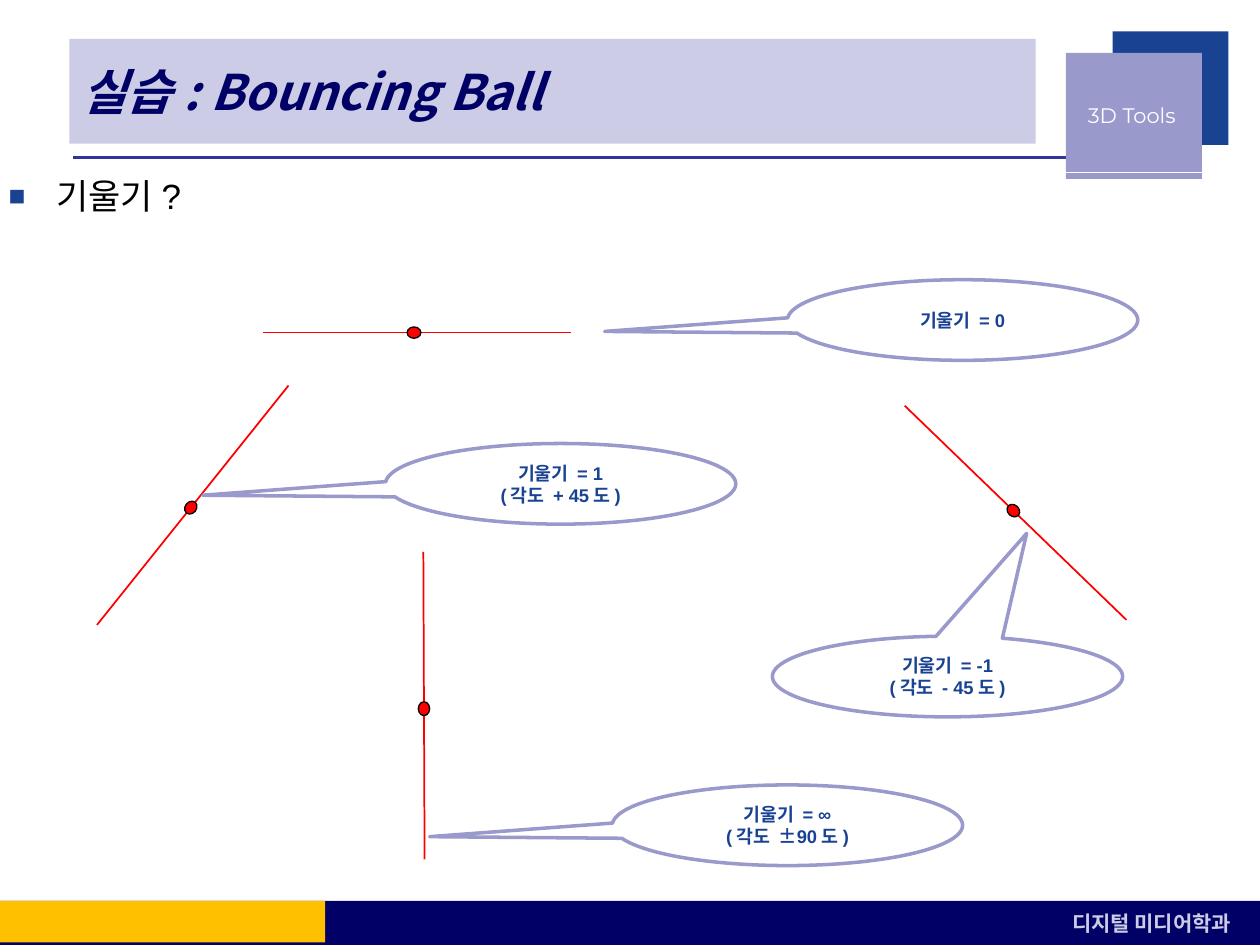
from math import atan2, degrees
from lxml.etree import SubElement
from pptx import Presentation
from pptx.dml.color import RGBColor
from pptx.enum.shapes import MSO_CONNECTOR as Connector, MSO_SHAPE as Shape
from pptx.enum.text import MSO_ANCHOR as Anchor, PP_ALIGN as Align
from pptx.oxml.ns import qn
from pptx.util import Inches, Pt

COLORS = {
    "navy": "000066", "blue": "194293", "indigo": "333399",
    "lilac": "9999CC", "pale": "CCCCE6", "gold": "FFC000",
    "red": "FF0000", "black": "000000", "white": "FFFFFF",
}
LATIN, KOREAN = "Arial", "Noto Sans CJK KR"
LABEL = {"size": Pt(10.5), "bold": True, "name": LATIN}


def color(name):
    return RGBColor.from_string(COLORS[name])


class SlideBuilder:
    """Holds the shared style and the current slide."""

    def __init__(self, slide):
        self.slide = slide

    def box(self, kind, place, fill=None, line=None, width=0.75, parent=None):
        shapes = (parent or self.slide).shapes
        box = shapes.add_shape(kind, *[Inches(value) for value in place])
        box.shadow.inherit = False
        if fill:
            box.fill.solid()
            box.fill.fore_color.rgb = color(fill)
        else:
            box.fill.background()
        if line:
            box.line.color.rgb = color(line)
            box.line.width = Pt(width)
        else:
            box.line.fill.background()
        return box

    def line(self, start, end, tint, width, parent=None):
        shapes = (parent or self.slide).shapes
        points = [Inches(value) for value in (*start, *end)]
        line = shapes.add_connector(Connector.STRAIGHT, *points)
        line.line.color.rgb = color(tint)
        line.line.width = Pt(width)
        SubElement(line._element.spPr, qn("a:effectLst"))
        return line

    def text(self, box, lines, tint, style, align=Align.LEFT,
             anchor=Anchor.MIDDLE, wrap=True):
        """Write lines; a line is a string or a list of (text, font) spans."""
        frame = box.text_frame
        frame.word_wrap = wrap
        frame.vertical_anchor = anchor
        for index, content in enumerate(lines):
            para = frame.add_paragraph() if index else frame.paragraphs[0]
            para.alignment = align
            if isinstance(content, str):
                content = [(content, style["name"])]
            for words, font_name in content:
                span = para.add_run()
                span.text = words
                for key, value in {**style, "name": font_name}.items():
                    setattr(span.font, key, value)
                span.font.color.rgb = color(tint)
                SubElement(span._r.rPr, qn("a:ea"), typeface=KOREAN)
        return frame

    def bullet(self, para, tint):
        props = para._p.get_or_add_pPr()
        props.set("marL", str(Inches(0.38)))
        props.set("indent", str(Inches(-0.38)))
        tint_holder = SubElement(props, qn("a:buClr"))
        SubElement(tint_holder, qn("a:srgbClr"), val=COLORS[tint])
        SubElement(props, qn("a:buSzPct"), val="80000")
        SubElement(props, qn("a:buFont"), typeface=LATIN)
        SubElement(props, qn("a:buChar"), char="■")
        para.line_spacing = 0.9

    def tangent(self, start, end):
        """Red line with a dot just before its middle, turned along it."""
        group = self.slide.shapes.add_group_shape()
        self.line(start, end, "red", 1, group)
        run, rise = end[0] - start[0], end[1] - start[1]
        x, y = start[0] + 0.49 * run, start[1] + 0.49 * rise
        width, height = 0.11, 0.09
        place = (x - width / 2, y - height / 2, width, height)
        dot = self.box(Shape.OVAL, place, "red", "black", parent=group)
        dot.rotation = degrees(atan2(rise, run)) % 360

    def callout(self, left, top, tip, lines):
        box = self.box(Shape.OVAL_CALLOUT, (left, top, 2.78, 0.64),
                       "white", "lilac", 2)
        for index, value in enumerate(tip):
            box.adjustments[index] = value
        self.text(box, lines, "blue", LABEL, Align.CENTER)


def main():
    deck = Presentation()
    deck.slide_width, deck.slide_height = Inches(10), Inches(7.5)
    page = SlideBuilder(deck.slides.add_slide(deck.slide_layouts[6]))

    # Header rule and badge
    page.line((0.58, 1.25), (8.5, 1.25), "indigo", 2.25)
    page.box(Shape.RECTANGLE, (8.83, 0.25, 0.92, 0.9), "blue")
    page.box(Shape.RECTANGLE, (8.46, 0.42, 1.08, 1), "lilac")
    badge = page.box(Shape.RECTANGLE, (8.31, 0.58, 1.12, 0.67))
    page.text(badge, ["3D Tools"], "white",
              {"size": Pt(12), "name": "Montserrat"}, Align.RIGHT, wrap=False)

    # Footer
    page.box(Shape.RECTANGLE, (0, 7.15, 10, 0.35), "navy")
    page.box(Shape.RECTANGLE, (0, 7.15, 2.58, 0.33), "gold")
    footer = page.box(Shape.RECTANGLE, (8.41, 7.18, 1.58, 0.3), "navy")
    page.text(footer, ["디지털 미디어학과"], "pale",
              {"size": Pt(12), "bold": True, "name": KOREAN})

    # Title
    title = page.box(Shape.RECTANGLE, (0.55, 0.31, 7.67, 0.83), "pale")
    page.text(title, ["실습: Bouncing Ball"], "navy",
              {"size": Pt(28), "bold": True, "italic": True, "name": KOREAN})

    # Question
    body = page.box(Shape.RECTANGLE, (-0.03, 1.37, 9.88, 5.53), line="white")
    frame = page.text(body, ["기울기?"], "black",
                      {"size": Pt(20), "name": LATIN}, anchor=Anchor.TOP)
    page.bullet(frame.paragraphs[0], "blue")

    # Sloped lines
    for start, end in (
        ((2.09, 2.64), (4.53, 2.64)),
        ((0.77, 4.96), (2.29, 3.06)),
        ((7.18, 3.22), (8.94, 4.92)),
        ((3.37, 6.82), (3.36, 4.38)),
    ):
        page.tangent(start, end)

    # Slope labels
    left_tip, upper_tip = (-1.022, 0.142), (0.226, -1.775)
    vertical = [("(각도 ", LATIN), ("±", KOREAN), ("90도)", LATIN)]
    for left, top, tip, lines in (
        (6.25, 2.22, left_tip, ["기울기 = 0"]),
        (3.06, 3.52, left_tip, ["기울기 = 1", "(각도 + 45도)"]),
        (6.13, 5.05, upper_tip, ["기울기 = -1", "(각도 - 45도)"]),
        (4.86, 6.23, left_tip, ["기울기 = ∞", vertical]),
    ):
        page.callout(left, top, tip, lines)

    deck.save("out.pptx")


if __name__ == "__main__":
    main()
